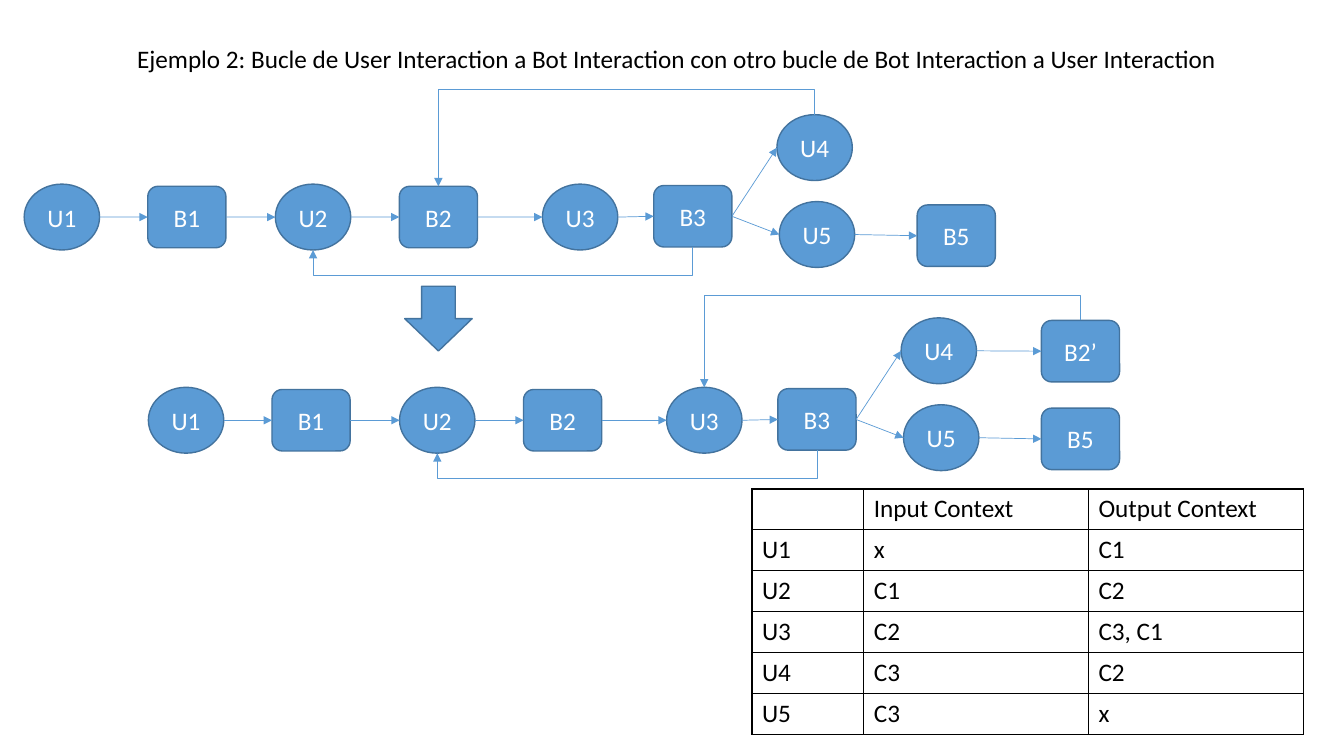
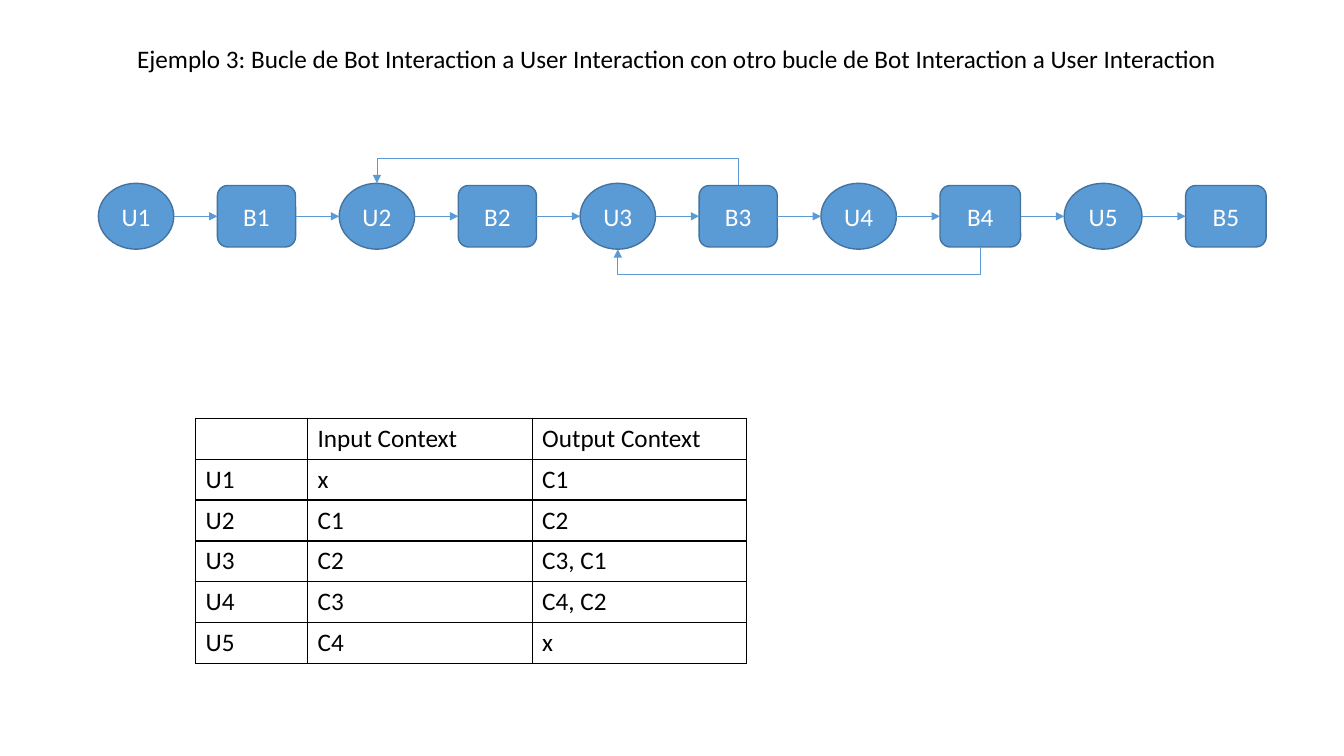
from lxml.etree import SubElement as Sub
from pptx import Presentation
from pptx.dml.color import RGBColor as RGB
from pptx.enum.shapes import MSO_CONNECTOR as Conn, MSO_SHAPE as Kind
from pptx.enum.text import MSO_ANCHOR as Anchor, MSO_AUTO_SIZE as Auto, PP_ALIGN as Align
from pptx.oxml.ns import qn
from pptx.util import Cm, Pt

STYLE = {"fill": "5B9BD5", "edge": "43739E", "dark": "000000", "light": "FFFFFF"}
FONT = {"name": "Calibri", "size": Pt(18), "bold": False}
SIZES = {Kind.OVAL: (1.9, 1.66), Kind.ROUNDED_RECTANGLE: (1.97, 1.55)}
SITES = {"top": 0, "left": 1, "bottom": 2, "right": 3}
COLS = (2.82, 5.66, 5.41)
ROW = 1.03
BEND = Cm(0.64)


def color(code):
    """Turn a hex string into a colour."""
    return RGB.from_string(code)


def apply(item, values):
    """Set each named attribute on an object."""
    for name, value in values.items():
        setattr(item, name, value)


def add(parent, tag, **attrs):
    """Add an XML child with the given attributes."""
    return Sub(parent, qn(tag), {key: str(val) for key, val in attrs.items()})


def spot(shape, side):
    """Return the middle of one side of a shape."""
    x, y = shape.left + shape.width // 2, shape.top + shape.height // 2
    return {"top": (x, shape.top), "bottom": (x, shape.top + shape.height),
            "left": (shape.left, y), "right": (shape.left + shape.width, y)}[side]


class Deck:
    """Holds the style and the current slide."""

    def __init__(self, style):
        """Start an empty wide deck."""
        self.style = style
        self.show = Presentation()
        apply(self.show, {"slide_width": Cm(33.87), "slide_height": Cm(19.05)})

    def page(self, title):
        """Start a slide with its title line."""
        self.slide = self.show.slides.add_slide(self.show.slide_layouts[5])
        head = self.slide.shapes.title
        apply(head, {"left": Cm(3.2), "top": Cm(0.97),
                     "width": Cm(28.32), "height": Cm(1.02)})
        apply(head.text_frame, {"word_wrap": True, "auto_size": Auto.NONE,
                                "vertical_anchor": Anchor.MIDDLE})
        self.label(head.text_frame, title, "dark", Align.LEFT)

    def label(self, frame, text, tone, align):
        """Put one formatted line into a text frame."""
        par = frame.paragraphs[0]
        par.alignment = align
        run = par.add_run()
        run.text = text
        apply(run.font, FONT)
        run.font.color.rgb = color(self.style[tone])

    def shape(self, kind, x, y, wide, high):
        """Draw a filled shape around a centre point."""
        item = self.slide.shapes.add_shape(
            kind, Cm(x - wide / 2), Cm(y - high / 2), Cm(wide), Cm(high))
        item.shadow.inherit = False
        item.fill.solid()
        item.fill.fore_color.rgb = color(self.style["fill"])
        item.line.color.rgb = color(self.style["edge"])
        item.line.width = Pt(1)
        return item

    def node(self, name, x, y, extra=0):
        """Draw a user step as an oval or a bot step as a box."""
        kind = Kind.OVAL if name[0] == "U" else Kind.ROUNDED_RECTANGLE
        wide, high = SIZES[kind]
        item = self.shape(kind, x, y, wide + extra, high)
        item.text_frame.vertical_anchor = Anchor.MIDDLE
        self.label(item.text_frame, name, "light", Align.CENTER)
        return item

    def finish(self, line, ends):
        """Style a connector, add its arrowhead and glue both ends."""
        line.line.color.rgb = color(self.style["fill"])
        line.line.width = Pt(0.5)
        props = line._element.spPr
        add(props.find(qn("a:ln")), "a:tailEnd", type="triangle")
        add(props, "a:effectLst")
        glue = next(line._element.iter(qn("p:cNvCxnSpPr")))
        for tag, (shape, side) in zip(("a:stCxn", "a:endCxn"), ends):
            step = 2 if shape.auto_shape_type == Kind.OVAL else 1
            add(glue, tag, id=shape.shape_id, idx=SITES[side] * step)

    def arrow(self, start, end):
        """Draw a straight arrow to the next step."""
        ends = (start, "right"), (end, "left")
        line = self.slide.shapes.add_connector(
            Conn.STRAIGHT, *spot(*ends[0]), *spot(*ends[1]))
        self.finish(line, ends)

    def loop(self, start, end, side):
        """Draw a bent arrow leading back to an earlier step on the left."""
        ends = (start, side), (end, side)
        (x1, y1), (x2, y2) = spot(*ends[0]), spot(*ends[1])
        up = side == "top"
        turn = min(y1, y2) - BEND if up else max(y1, y2) + BEND
        wide, high = abs(y2 - y1), x1 - x2
        left, top = (x1 + x2 - wide) // 2, (y1 + y2 - high) // 2
        line = self.slide.shapes.add_connector(
            Conn.ELBOW, left, top, left + wide, top + high)
        props = line._element.spPr
        frame = {"rot": 5400000}
        if up:
            frame = {"rot": 16200000, "flipH": int(y2 > y1), "flipV": 1}
        for key, val in frame.items():
            props.find(qn("a:xfrm")).set(key, str(val))
        ratio = round((turn - y1) / (y2 - y1) * 100000)
        add(next(props.iter(qn("a:avLst"))), "a:gd", name="adj1", fmla=f"val {ratio}")
        self.finish(line, ends)

    def flow(self, nodes, links, loops, dx=0, dy=0):
        """Draw steps, arrows and loops, moved by an offset."""
        steps = {name: self.node(name, x + dx, y + dy, *more)
                 for name, x, y, *more in nodes}
        for link in links:
            self.arrow(*(steps[name] for name in link.split()))
        for start, end, side in loops:
            self.loop(steps[start], steps[end], side)

    def table(self, x, y, rows):
        """Draw a plain ruled table of contexts."""
        rows = [("", "Input Context", "Output Context")] + rows
        grid = self.slide.shapes.add_table(
            len(rows), len(COLS), Cm(x), Cm(y), Cm(sum(COLS)), Cm(ROW * len(rows))).table
        apply(grid, {"first_row": False, "horz_banding": False})
        for col, wide in zip(grid.columns, COLS):
            col.width = Cm(wide)
        for r, row in enumerate(rows):
            for c, text in enumerate(row):
                cell = grid.cell(r, c)
                self.rule(cell)
                cell.fill.background()
                self.label(cell.text_frame, text, "dark", Align.LEFT)

    def rule(self, cell):
        """Rule all four sides of a cell."""
        props = cell._tc.get_or_add_tcPr()
        for side in "LRTB":
            line = add(props, f"a:ln{side}", w=Pt(1))
            add(add(line, "a:solidFill"), "a:srgbClr", val=self.style["dark"])


def chain(names):
    """Pair each step with the next one."""
    return [f"{a} {b}" for a, b in zip(names, names[1:])]


deck = Deck(STYLE)

deck.page("Ejemplo 2: Bucle de User Interaction a Bot Interaction "
          "con otro bucle de Bot Interaction a User Interaction")
MID = 5.47
nodes = [("U1", 1.56, MID), ("B1", 4.71, MID), ("U2", 7.89, MID), ("B2", 11.05, MID),
         ("U3", 14.62, MID), ("B3", 17.46, 5.45), ("U4", 20.53, 3.72),
         ("U5", 20.59, 5.91), ("B5", 24.1, 5.94)]
links = chain(["U1", "B1", "U2", "B2", "U3", "B3", "U4"]) + chain(["B3", "U5", "B5"])
back = ("B3", "U2", "bottom")
deck.flow(nodes, links, [back, ("U4", "B2", "top")])
deck.shape(Kind.DOWN_ARROW, 11.05, 8.03, 1.7, 1.63)
deck.flow(nodes + [("B2’", 24.1, 3.73)], links + ["U4 B2’"],
          [back, ("B2’", "U3", "top")], dx=3.13, dy=5.12)
deck.table(18.95, 12.32, [("U1", "x", "C1"), ("U2", "C1", "C2"), ("U3", "C2", "C3, C1"),
                          ("U4", "C3", "C2"), ("U5", "C3", "x")])

deck.page("Ejemplo 3: Bucle de Bot Interaction a User Interaction "
          "con otro bucle de Bot Interaction a User Interaction")
names = [kind + str(num) for num in range(1, 6) for kind in "UB"]
GAP, left, nodes = 1.1, 2.48, []
for name in names:
    extra = 0.06 if name in ("B4", "U5", "B5") else 0
    wide = (1.9 if name[0] == "U" else 1.97) + extra
    nodes.append((name, left + wide / 2, 5.45, extra))
    left += wide + GAP
deck.flow(nodes, chain(names), [("B3", "U2", "top"), ("B4", "U3", "bottom")])
deck.table(4.93, 10.54, [("U1", "x", "C1"), ("U2", "C1", "C2"), ("U3", "C2", "C3, C1"),
                         ("U4", "C3", "C4, C2"), ("U5", "C4", "x")])

deck.show.save("out.pptx")
